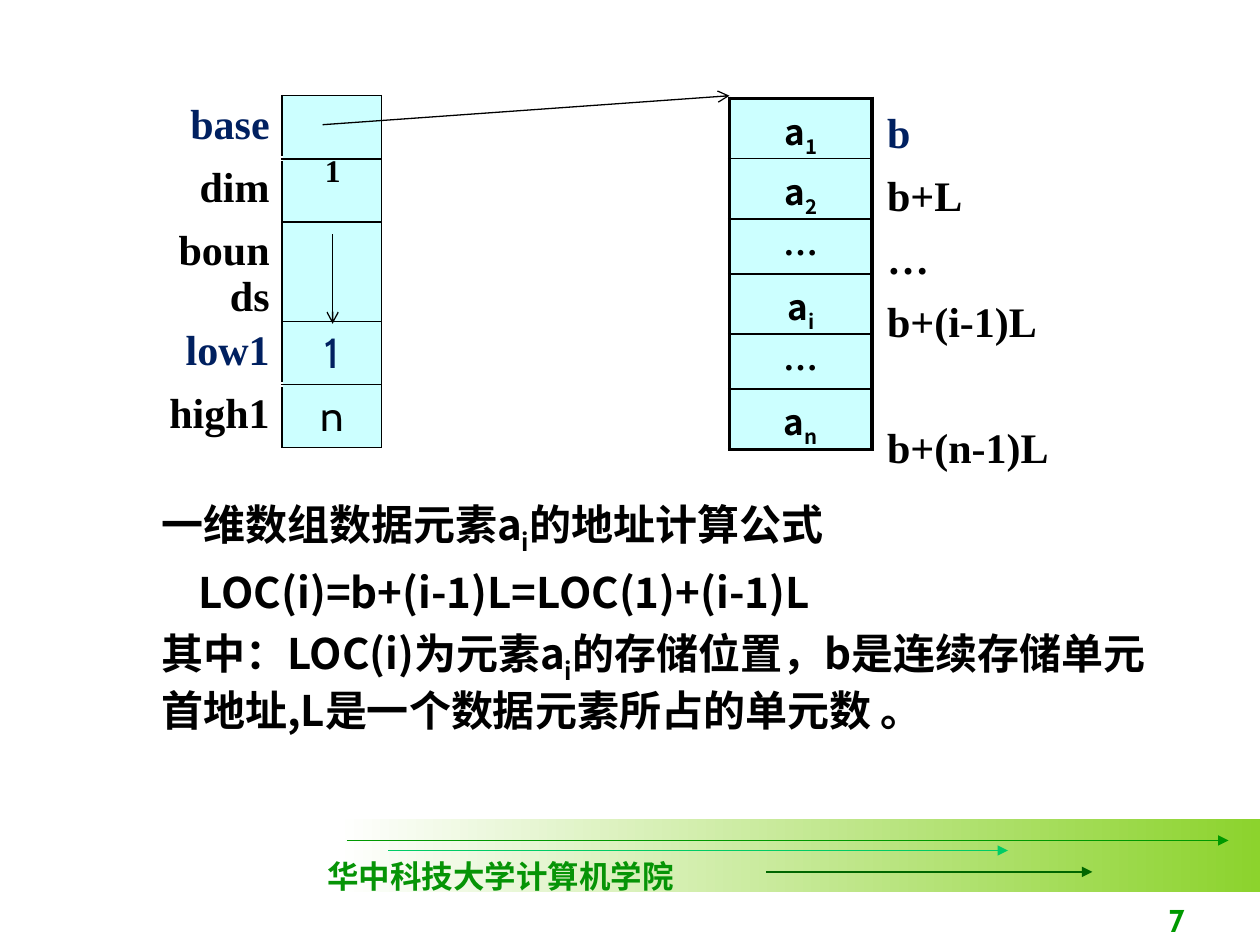
from lxml import etree
from pptx import Presentation
from pptx.dml.color import RGBColor
from pptx.enum.shapes import MSO_CONNECTOR, MSO_SHAPE
from pptx.enum.text import MSO_ANCHOR, MSO_AUTO_SIZE, PP_ALIGN
from pptx.oxml.ns import qn
from pptx.util import Inches, Pt

STRAIGHT = MSO_CONNECTOR.STRAIGHT
RECTANGLE = MSO_SHAPE.RECTANGLE
BOTTOM = MSO_ANCHOR.BOTTOM
GROW = MSO_AUTO_SIZE.SHAPE_TO_FIT_TEXT
LEFT, CENTER, RIGHT = PP_ALIGN.LEFT, PP_ALIGN.CENTER, PP_ALIGN.RIGHT

COLORS = {
    "black": "000000", "white": "FFFFFF", "navy": "002060", "cell": "CCFFFF",
    "band": "8CD32D", "green": "009900", "mint": "00CC66", "forest": "006600",
    "school": "069406",
}
SERIF, SANS, CJK = "Times New Roman", "Cabin", "Noto Sans CJK SC"

LABEL = {"name": SERIF, "size": Pt(24), "bold": True}
VALUE = {"name": SANS, "size": Pt(24), "bold": False}
ELEMENT = {"name": CJK, "size": Pt(20), "bold": True}
BODY = {"name": CJK, "size": Pt(24), "bold": True}
SMALL = {"name": SERIF, "size": Pt(18), "bold": True}
PAGE = {"name": SANS, "size": Pt(18), "bold": True}

THIN = ("black", 1)
BOX = dict.fromkeys("LRTB", THIN)
LABEL_EDGES = {**dict.fromkeys("LTB", ("white", 1)), "R": THIN}
OPEN_EDGES = dict.fromkeys("LRTB")


def rgb(color):
    return RGBColor.from_string(COLORS[color])


def write(paragraph, text, style, color="black", align=LEFT):
    """Text between bars alternates between normal and subscript."""
    paragraph.alignment = align
    for index, part in enumerate(text.split("|")):
        if not part:
            continue
        run = paragraph.add_run()
        run.text = part
        for attribute, value in style.items():
            setattr(run.font, attribute, value)
        run.font.color.rgb = rgb(color)
        properties = run.font._element
        etree.SubElement(properties, qn("a:ea"), typeface=CJK)
        if index % 2:
            properties.set("baseline", "-25000")


def add_text(slide, box, lines, style, color="black", align=LEFT, **frame_format):
    frame = slide.shapes.add_textbox(*map(Inches, box)).text_frame
    for attribute, value in {"word_wrap": True, **frame_format}.items():
        setattr(frame, attribute, value)
    for index, line in enumerate(lines):
        paragraph = frame.add_paragraph() if index else frame.paragraphs[0]
        write(paragraph, line, style, color, align)
    return frame


def add_arrow(slide, start, end, color="black", head="triangle"):
    arrow = slide.shapes.add_connector(STRAIGHT, *map(Inches, (*start, *end)))
    arrow.line.color.rgb = rgb(color)
    arrow.line.width = Pt(0.75)
    etree.SubElement(arrow.line._get_or_add_ln(), qn("a:tailEnd"), type=head)
    etree.SubElement(arrow._element.spPr, qn("a:effectLst"))


def set_edges(cell, edges):
    properties = cell._tc.get_or_add_tcPr()
    for side in "LRTB":
        edge = etree.SubElement(properties, qn(f"a:ln{side}"))
        if edges[side] is None:
            etree.SubElement(edge, qn("a:noFill"))
            continue
        color, width = edges[side]
        edge.set("w", str(Pt(width)))
        fill = etree.SubElement(edge, qn("a:solidFill"))
        etree.SubElement(fill, qn("a:srgbClr"), val=COLORS[color])


def fill_cell(cell, text, style, edges, color="black", align=CENTER, fill="cell"):
    set_edges(cell, edges)
    if fill:
        cell.fill.solid()
        cell.fill.fore_color.rgb = rgb(fill)
    else:
        cell.fill.background()
    write(cell.text_frame.paragraphs[0], text, style, color, align)


def add_grid(slide, left, top, widths, row_height, row_count):
    size = (sum(widths), row_height * row_count)
    grid = slide.shapes.add_table(
        row_count, len(widths), *map(Inches, (left, top, *size))).table
    grid.first_row = grid.horz_banding = False
    for column, width in zip(grid.columns, widths):
        column.width = Inches(width)
    for row in grid.rows:
        row.height = Inches(row_height)
    return grid


def add_descriptor(slide, top, fields):
    grid = add_grid(slide, 1.22, top, (1.02, 0.79), 0.41, len(fields))
    for index, (label, value) in enumerate(fields):
        color = "black" if index else "navy"
        edges = LABEL_EDGES if index else {**LABEL_EDGES, "B": ("white", 3)}
        fill_cell(grid.cell(index, 0), label, LABEL, edges, color, RIGHT, None)
        fill_cell(grid.cell(index, 1), value, VALUE, BOX, color)


def add_array(slide, elements):
    grid = add_grid(slide, 5.79, 0.78, (1.13,), 0.25, len(elements))
    thick = ("black", 2.25)
    last = len(elements) - 1
    for index, element in enumerate(elements):
        edges = {"L": thick, "R": thick,
                 "T": THIN if index else thick,
                 "B": THIN if index < last else thick}
        fill_cell(grid.cell(index, 0), element, ELEMENT, edges)


def add_addresses(slide, addresses):
    grid = add_grid(slide, 6.94, 0.83, (1.65,), 0.43, len(addresses))
    for index, address in enumerate(addresses):
        color = "black" if index else "navy"
        fill_cell(grid.cell(index, 0), address, LABEL, OPEN_EDGES, color, LEFT, None)
        if not address:
            grid.rows[index].height = Inches(0.5)


def add_footer(slide):
    band = slide.shapes.add_shape(RECTANGLE, *map(Inches, (2.67, 6.5, 7.33, 0.58)))
    band.shadow.inherit = False
    band.line.fill.background()
    band.fill.gradient()
    band.fill.gradient_angle = 0
    for stop, color in zip(band.fill.gradient_stops, ("white", "band")):
        stop.color.rgb = rgb(color)
    for left, right, y, color in ((2.75, 9.75, 6.67, "green"),
                                  (3.08, 8, 6.75, "mint"),
                                  (6.08, 8.67, 6.92, "forest")):
        add_arrow(slide, (left, y), (right, y), color)
    add_text(slide, (2.5, 6.75, 2.95, 0.4), ["华中科技大学计算机学院"], SMALL,
             "school", word_wrap=False, auto_size=GROW)
    add_text(slide, (7.42, 7, 2.08, 0.5), ["7"], PAGE, "green", RIGHT,
             vertical_anchor=BOTTOM)


def add_formula(slide):
    frame = add_text(slide, (1.18, 3.91, 8.15, 1.88), [
        "一维数组数据元素a|i|的地址计算公式",
        "LOC(i)=b+(i-1)L=LOC(1)+(i-1)L",
        "其中：LOC(i)为元素a|i|的存储位置，b是连续存储单元首地址,L是一个数据元素所占的单元数 。",
    ], BODY, auto_size=GROW)
    for paragraph in frame.paragraphs[1:]:
        paragraph.space_before = Pt(6)
    formula = frame.paragraphs[1]
    formula._p.get_or_add_pPr().set("marL", str(Inches(0.3)))


def main():
    deck = Presentation()
    deck.slide_width, deck.slide_height = Inches(10), Inches(7.5)
    slide = deck.slides.add_slide(deck.slide_layouts[6])

    add_footer(slide)
    add_array(slide, ["a|1", "a|2", "…", "a|i", "…", "a|n"])
    add_formula(slide)
    add_descriptor(slide, 0.76, [("base", ""), ("dim", ""), ("bounds", "")])
    add_arrow(slide, (2.56, 0.99), (5.79, 0.76), head="arrow")
    add_descriptor(slide, 2.55, [("low1", "1"), ("high1", "n")])
    add_text(slide, (2.48, 1.15, 0.63, 0.4), ["1"], SMALL, auto_size=GROW)
    add_arrow(slide, (2.64, 1.86), (2.64, 2.57), head="arrow")
    add_addresses(slide, ["b", "b+L", "…", "b+(i-1)L", "", "b+(n-1)L"])

    deck.save("out.pptx")


if __name__ == "__main__":
    main()
